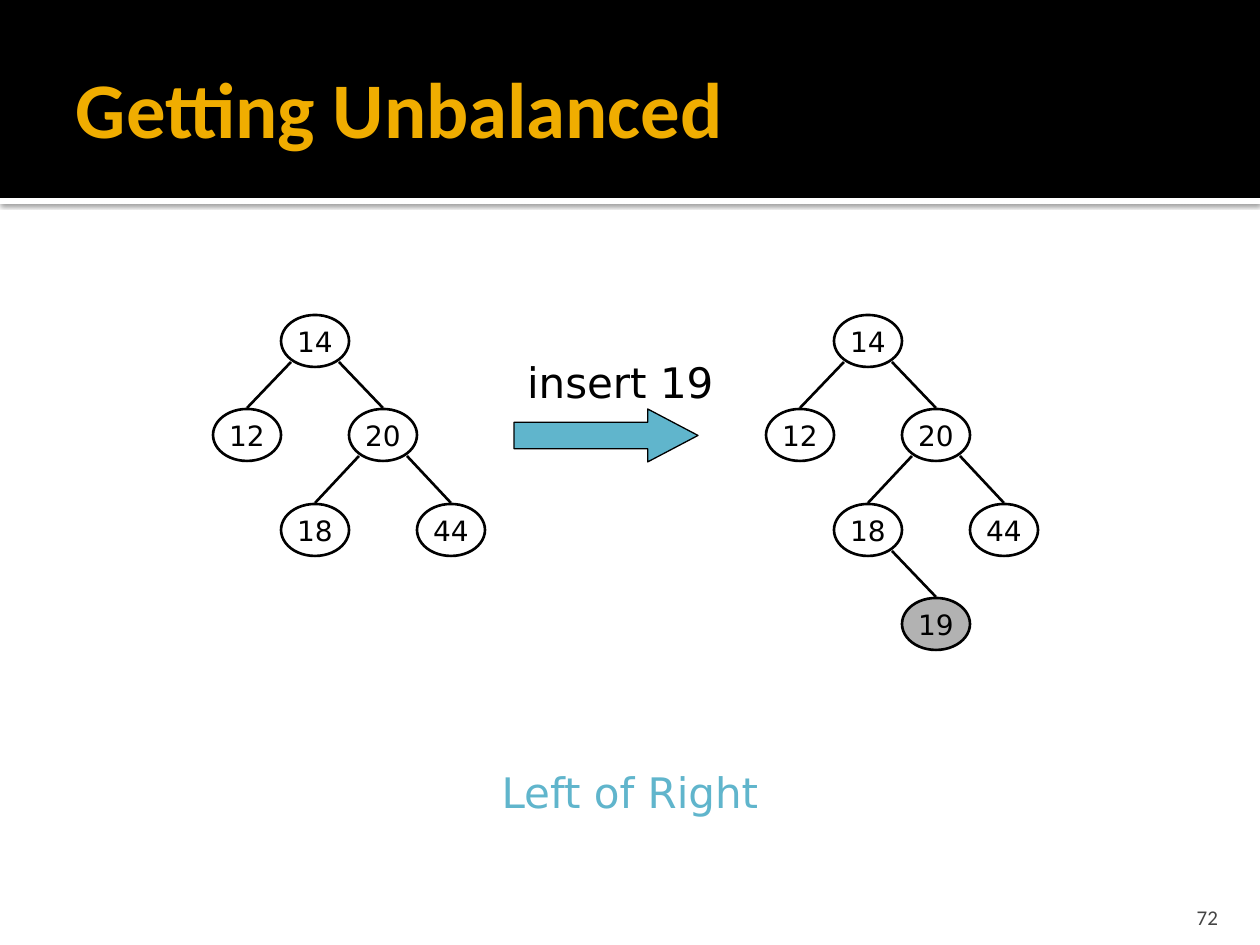
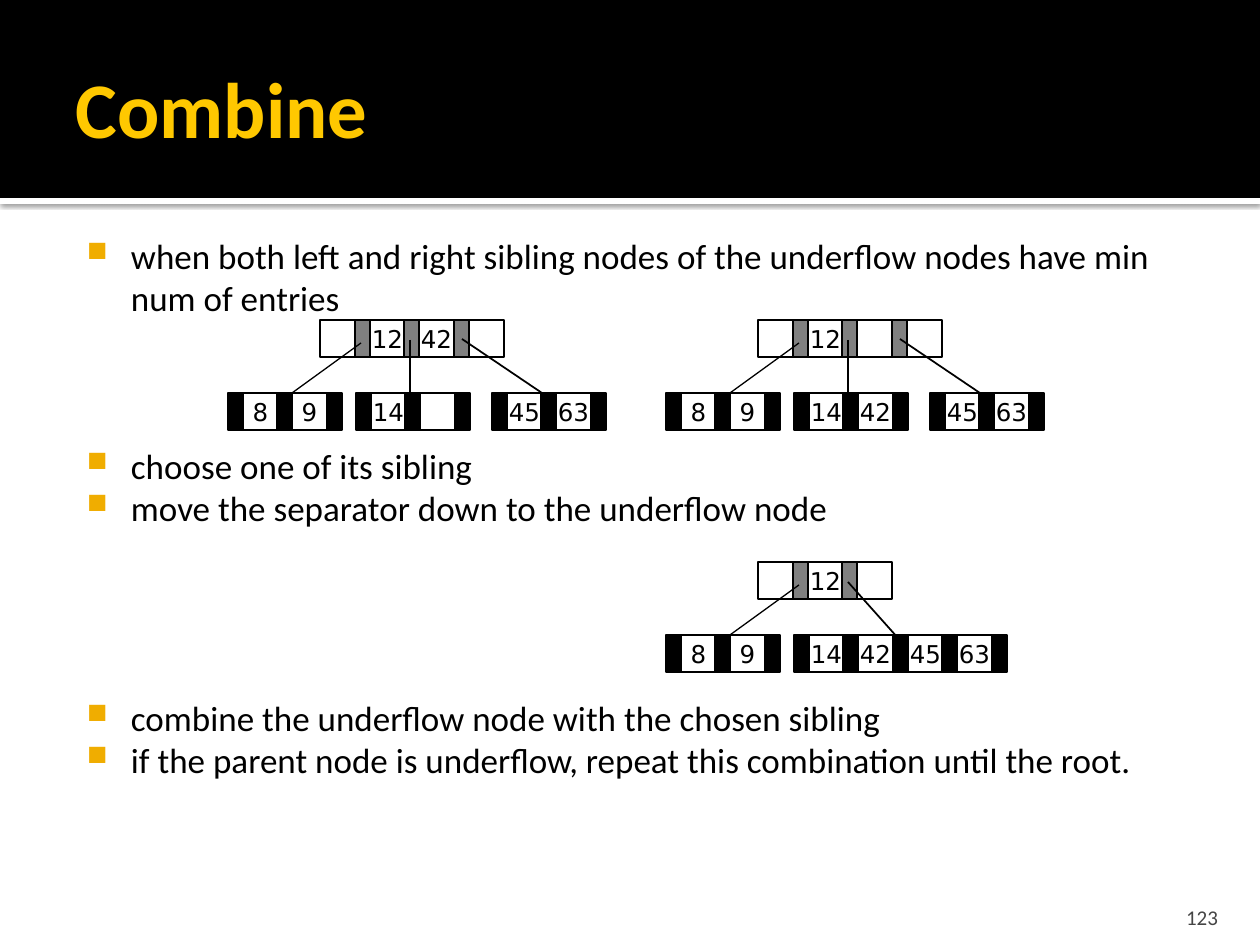
from lxml import etree
from pptx import Presentation
from pptx import util as u
from pptx.dml.color import RGBColor
from pptx.enum import shapes, text
from pptx.oxml import parse_xml
from pptx.oxml.ns import nsdecls, qn

SCALE = 914400 / 126
BLACK = RGBColor(0x00, 0x00, 0x00)
WHITE = RGBColor(0xFF, 0xFF, 0xFF)
AMBER = RGBColor(0xF0, 0xAD, 0x00)
YELLOW = RGBColor(0xFF, 0xC8, 0x00)
SKY = RGBColor(0x60, 0xB5, 0xCC)
CHARCOAL = RGBColor(0x45, 0x45, 0x45)
GREY = RGBColor(0x80, 0x80, 0x80)
SILVER = RGBColor(0xB2, 0xB2, 0xB2)
RECT = shapes.MSO_SHAPE.RECTANGLE
OVAL = shapes.MSO_SHAPE.OVAL
ARROW = shapes.MSO_SHAPE.RIGHT_ARROW
LEFT, CENTER, RIGHT = text.PP_ALIGN.LEFT, text.PP_ALIGN.CENTER, text.PP_ALIGN.RIGHT
TOP, MIDDLE, BOTTOM = text.MSO_ANCHOR.TOP, text.MSO_ANCHOR.MIDDLE, text.MSO_ANCHOR.BOTTOM

FORMATS = {
    "title": dict(name="Calibri", size=45, bold=True, align=LEFT, anchor=MIDDLE, wrap=True, insets=(13, 6, 6, 6)),
    "number": dict(name="Calibri", size=12, bold=False, align=RIGHT, anchor=BOTTOM, wrap=True, insets=(13, 6, 13, 0)),
    "body": dict(name="Calibri", size=20, bold=False, align=LEFT, anchor=TOP, wrap=True, insets=(8, 13, 13, 6)),
    "caption": dict(name="DejaVu Sans", size=24, bold=False, align=LEFT, anchor=TOP, wrap=True, insets=(13, 11, 13, 6)),
    "verdict": dict(name="DejaVu Sans", size=24, bold=False, align=CENTER, anchor=TOP, wrap=True, insets=(13, 11, 13, 6)),
    "node": dict(name="DejaVu Sans", size=16, bold=False, align=CENTER, anchor=MIDDLE, wrap=False, insets=(13, 6, 13, 6)),
    "key": dict(name="DejaVu Sans", size=14, bold=False, align=CENTER, anchor=MIDDLE, wrap=False, insets=(13, 6, 13, 6)),
}


def place(slide, box, kind=None, fill=None, outline=None, lines=(), style=None, color=BLACK):
    box = [round(v * SCALE) for v in box]
    if kind is None:
        item = slide.shapes.add_textbox(*box)
    else:
        item = slide.shapes.add_shape(kind, *box)
        item.shadow.inherit = False
        if fill is None:
            item.fill.background()
        else:
            item.fill.solid()
            item.fill.fore_color.rgb = fill
        if outline is None:
            item.line.fill.background()
        else:
            item.line.color.rgb = BLACK
            item.line.width = u.Pt(outline)
    if lines:
        look = FORMATS[style]
        frame = item.text_frame
        frame.word_wrap = look["wrap"]
        frame.vertical_anchor = look["anchor"]
        for side, inset in zip(("left", "top", "right", "bottom"), look["insets"]):
            setattr(frame, f"margin_{side}", round(inset * SCALE))
        for i, line in enumerate(lines):
            paragraph = frame.add_paragraph() if i else frame.paragraphs[0]
            paragraph.alignment = look["align"]
            run = paragraph.add_run()
            run.text = line
            values = dict(name=look["name"], size=u.Pt(look["size"]), bold=look["bold"])
            for attribute, value in values.items():
                setattr(run.font, attribute, value)
            run.font.color.rgb = color
    return item


def connect(slide, x1, y1, x2, y2, weight):
    ends = [round(v * SCALE) for v in (x1, y1, x2, y2)]
    edge = slide.shapes.add_connector(shapes.MSO_CONNECTOR.STRAIGHT, *ends)
    edge.line.color.rgb = BLACK
    edge.line.width = u.Pt(weight)
    etree.SubElement(edge._element.spPr, qn("a:effectLst"))


deck = Presentation()
deck.slide_width = round(1260 * SCALE)
deck.slide_height = round(945 * SCALE)

slides = []
for heading, heading_color, number in (("Getting Unbalanced", AMBER, "72"), ("Combine", YELLOW, "123")):
    slide = deck.slides.add_slide(deck.slide_layouts[6])
    stripe = place(slide, (0, 198, 1260, 6), RECT, WHITE)
    effects = stripe._element.spPr.find(qn("a:effectLst"))
    effects.append(parse_xml(
        f'<a:outerShdw {nsdecls("a")} blurRad="31750" dist="10160" dir="5400000" rotWithShape="0">'
        '<a:srgbClr val="000000"><a:alpha val="60000"/></a:srgbClr></a:outerShdw>'))
    place(slide, (0, 0, 1260, 198), RECT, BLACK)
    place(slide, (1130, 892, 101, 38), lines=[number], style="number", color=CHARCOAL)
    place(slide, (63, 21, 1134, 173), lines=[heading], style="title", color=heading_color)
    slides.append(slide)
unbalanced, combine = slides

NODE_W, NODE_H = 68, 52
before = {"14": (0, 0, None), "12": (-1, 1, "14"), "20": (1, 1, "14"), "18": (0, 2, "20"), "44": (2, 2, "20")}
after = {**before, "19": (1, 3, "18")}
for root_x, tree in ((315, before), (868, after)):
    for value, (column, level, parent) in tree.items():
        x = root_x + column * NODE_W
        y = 315 + level * 189 // 2
        fill = SILVER if value == "19" else None
        place(unbalanced, (x - NODE_W // 2, y, NODE_W, NODE_H), OVAL, fill, 1.5, [value], "node")
        if parent:
            parent_column, parent_level, _ = tree[parent]
            side = column - parent_column
            parent_x = root_x + parent_column * NODE_W
            parent_y = 315 + parent_level * 189 // 2
            connect(unbalanced, parent_x + side * 24, parent_y + 47, x, y - 1, 1.5)

insertion = place(unbalanced, (514, 409, 184, 53), ARROW, SKY, 0.75)
insertion.adjustments[0] = 0.5
insertion.adjustments[1] = 0.95
place(unbalanced, (514, 346, 223, 63), lines=["insert 19"], style="caption")
place(unbalanced, (0, 756, 1260, 64), lines=["Left of Right"], style="verdict", color=SKY)

steps = {
    "when both left and right sibling nodes of the underflow nodes have min num of entries": 0,
    "choose one of its sibling": 72,
    "move the separator down to the underflow node": 0,
    "combine the underflow node with the chosen sibling": 96,
    "if the parent node is underflow, repeat this combination until the root.": 0,
}
body = place(combine, (63, 221, 1134, 661), lines=list(steps), style="body")
for paragraph, gap in zip(body.text_frame.paragraphs, steps.values()):
    paragraph.line_spacing = u.Pt(24)
    paragraph.space_before = u.Pt(gap)
    properties = paragraph._p.get_or_add_pPr()
    properties.set("marL", str(round(60 * SCALE)))
    properties.set("indent", str(round(-44 * SCALE)))
    color = etree.SubElement(properties, qn("a:buClr"))
    etree.SubElement(color, qn("a:srgbClr"), val=str(AMBER))
    etree.SubElement(properties, qn("a:buSzPct"), val="80000")
    etree.SubElement(properties, qn("a:buChar"), char="■")

POINTER_W, KEY_W, CELL_H = 15, 35, 37
LEAF_DROP = 73
first_link = (133, 23, 64, LEAF_DROP, 0.75)
three_links = [first_link, (182, 20, 182, LEAF_DROP, 1), (234, 19, 314, LEAF_DROP, 1)]
two_links = [first_link, (182, 20, 232, 76, 1)]
diagrams = [
    (228, 320, ["", "12", "42", ""], {0: ["8", "9"], 128: ["14", ""], 264: ["45", "63"]}, three_links),
    (666, 320, ["", "12", "", ""], {0: ["8", "9"], 128: ["14", "42"], 264: ["45", "63"]}, three_links),
    (666, 562, ["", "12", ""], {0: ["8", "9"], 128: ["14", "42", "45", "63"]}, two_links),
]
for left, top, separators, leaves, links in diagrams:
    rows = [(left + 127, top, separators, -1, len(separators) - 1, GREY)]
    rows += [(left + dx, top + LEAF_DROP, keys, 0, len(keys) + 1, BLACK) for dx, keys in leaves.items()]
    for x, y, keys, first_slot, pointers, shade in rows:
        for slot, key in enumerate(keys, first_slot):
            cell = (x + slot * 99 // 2 + POINTER_W, y, KEY_W, CELL_H)
            place(combine, cell, RECT, None, 1, [key] if key else [], "key")
        for slot in range(pointers):
            place(combine, (x + slot * 99 // 2, y, POINTER_W, CELL_H), RECT, shade, 1)
    for x1, y1, x2, y2, weight in links:
        connect(combine, left + x1, top + y1, left + x2, top + y2, weight)

deck.save("out.pptx")
